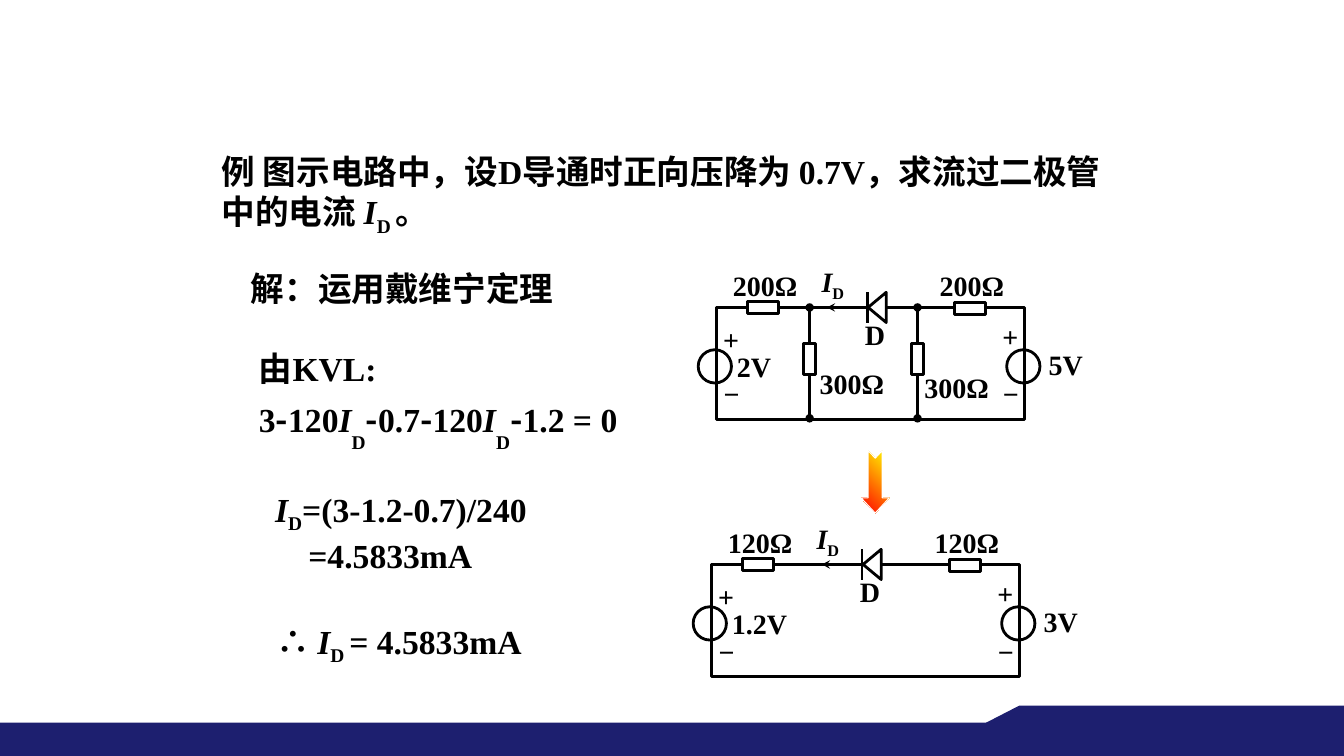
from pptx import Presentation
from pptx.dml.color import RGBColor
from pptx.enum.shapes import MSO_CONNECTOR, MSO_SHAPE
from pptx.enum.text import MSO_ANCHOR, PP_ALIGN
from pptx.oxml.ns import qn
from pptx.util import Inches, Pt
from lxml.etree import SubElement

NAVY = RGBColor(0x1D, 0x1F, 0x6F)
BLACK = RGBColor(0, 0, 0)
WHITE = RGBColor(255, 255, 255)
YELLOW = RGBColor(255, 255, 0)
RED = RGBColor(255, 0, 0)
LATIN, CJK = "Times New Roman", "Noto Sans CJK SC"
CURRENT = [("I", "i"), ("D", "sub")]


def add_run(p, text, style, size):
    """Style is "", "i" (italic), "cjk", "sub" or "low" (deep subscript)."""
    r = p.add_run()
    r.text = text
    r.font.size = Pt(size)
    r.font.bold = True
    r.font.italic = style == "i"
    r.font.color.rgb = BLACK
    r.font.name = CJK if style == "cjk" else LATIN
    rpr = r.font._element
    SubElement(rpr, qn("a:ea")).set("typeface", CJK)
    if style in ("sub", "low"):
        rpr.set("baseline", "-25000" if style == "sub" else "-50000")


def add_text(s, x, y, w, h, *paragraphs, size=24, wrap=True, align=None,
             anchor=MSO_ANCHOR.TOP, spacing=None, inset=True):
    tf = s.shapes.add_textbox(Inches(x), Inches(y), Inches(w), Inches(h)).text_frame
    tf.word_wrap = wrap
    tf.vertical_anchor = anchor
    if not inset:
        tf.margin_left = tf.margin_right = tf.margin_top = tf.margin_bottom = 0
    for i, runs in enumerate(paragraphs):
        p = tf.paragraphs[0] if i == 0 else tf.add_paragraph()
        p.alignment = align
        p.line_spacing = spacing
        for text, style in runs:
            add_run(p, text, style, size)
    return tf


def paint(sp, fill=None, line=BLACK):
    sp.shadow.inherit = False
    if fill is None:
        sp.fill.background()
    else:
        sp.fill.solid()
        sp.fill.fore_color.rgb = fill
    if line is None:
        sp.line.fill.background()
    else:
        sp.line.color.rgb = line
        sp.line.width = Pt(2)


def add_shape(s, kind, x, y, w, h, fill=None, line=BLACK):
    sp = s.shapes.add_shape(kind, Inches(x), Inches(y), Inches(w), Inches(h))
    paint(sp, fill, line)
    return sp


def add_polygon(s, points, fill, line=BLACK):
    pts = [(Inches(x), Inches(y)) for x, y in points]
    builder = s.shapes.build_freeform(*pts[0])
    builder.add_line_segments(pts[1:], close=True)
    paint(builder.convert_to_shape(), fill, line)


def add_line(s, x1, y1, x2, y2, head=None, tail=None):
    c = s.shapes.add_connector(MSO_CONNECTOR.STRAIGHT, Inches(x1), Inches(y1),
                               Inches(x2), Inches(y2))
    c.line.color.rgb = BLACK
    c.line.width = Pt(2)
    for tag, end in (("a:headEnd", head), ("a:tailEnd", tail)):
        if end:
            SubElement(c.line._get_or_add_ln(), qn(tag)).set("type", end)
    SubElement(c._element.spPr, qn("a:effectLst"))


def add_resistor(s, cx, cy, vertical=False):
    sp = add_shape(s, MSO_SHAPE.RECTANGLE, cx - 0.155, cy - 0.06, 0.31, 0.12, WHITE)
    sp.rotation = 270 if vertical else 0


def add_diode(s, x, y):
    add_line(s, x, y - 0.15, x, y + 0.15)
    add_polygon(s, [(x + 0.19, y - 0.15), (x + 0.01, y), (x + 0.19, y + 0.15)], WHITE)


def add_circuit(s, x, y, series, left_volts, left_width, right_volts, shunt=None):
    """Draw one loop with its top left corner at x, y."""
    def label(dx, dy, w, h, *runs, **options):
        add_text(s, x + dx, y + dy, w, h, runs, size=20, **options)

    add_shape(s, MSO_SHAPE.RECTANGLE, x, y, 3.05, 1.11)
    for dx in (-0.02, 3.04):
        add_shape(s, MSO_SHAPE.OVAL, x + dx - 0.165, y + 0.42, 0.33, 0.33)
    for dx, dy, sign in ((0.06, 0.15, "+"), (0.06, 0.69, "−"),
                         (2.83, 0.12, "+"), (2.83, 0.69, "−")):
        label(dx, dy, 0.12, 0.23, (sign, "i"), align=PP_ALIGN.CENTER, inset=False)
    if shunt:
        for dx, label_dx, label_dy in ((0.92, 0.92, 0.54), (1.99, 1.96, 0.58)):
            add_line(s, x + dx, y, x + dx, y + 1.1, "oval", "oval")
            add_resistor(s, x + dx, y + 0.51, vertical=True)
            label(label_dx, label_dy, 1.06, 0.35, (shunt, ""))
    add_resistor(s, x + 0.46, y)
    add_resistor(s, x + 2.51, y + 0.01)
    label(0.06, -0.44, 0.92, 0.44, (series, ""), anchor=MSO_ANCHOR.MIDDLE)
    label(2.11, -0.44, 0.98, 0.35, (series, ""))
    add_line(s, x + 1.24, y, x + 1.09, y, tail="stealth")
    label(0.94, -0.48, 0.65, 0.35, *CURRENT)
    add_diode(s, x + 1.49, y)
    label(1.37, 0.05, 0.38, 0.35, ("D", ""))
    label(0.1, 0.37, left_width, 0.43, (left_volts, ""), wrap=False)
    label(3.12, 0.4, 0.68, 0.27, (right_volts, ""), align=PP_ALIGN.CENTER, inset=False)


def add_footer(s):
    add_shape(s, MSO_SHAPE.RECTANGLE, 0, 7.17, 13.33, 0.33, NAVY, None)
    add_polygon(s, [(9.78, 7.17), (10.11, 7), (13.33, 7), (13.33, 7.25), (9.78, 7.25)],
                NAVY, None)


def add_solution(s):
    add_text(s, 2.1, 1.47, 9.12, 0.91, [
        ("例 ", ""), ("图示电路中，设", "cjk"), ("D导通时正向压降为 0.7V", ""),
        ("，求流过二极管中的电流 ", "cjk"), ("I", "i"), ("D ", "sub"), ("。", "cjk")],
        anchor=MSO_ANCHOR.MIDDLE)
    add_text(s, 2.39, 2.61, 4.01, 0.5, [("解：运用戴维宁定理", "")])
    drop = [("120", ""), ("I", "i"), ("D", "low"), ("-", "cjk")]
    add_text(s, 2.47, 3.32, 4.36, 1.07, [("由KVL:", "")],
             [("3", ""), ("-", "cjk"), *drop, ("0.7", ""), ("-", "cjk"), *drop,
              ("1.2 = 0", "")], spacing=1.2)
    tf = add_text(s, 2.63, 4.8, 3.71, 0.91, [*CURRENT, ("=(3-1.2-0.7)/240", "")],
                  [("=4.5833mA", "")])
    ppr = tf.paragraphs[1]._p.get_or_add_pPr()
    ppr.set("marL", str(Inches(0.33)))
    ppr.set("indent", "0")
    add_text(s, 2.64, 6.11, 3.85, 0.5,
             [("∴ ", "cjk"), ("I", "i"), ("D ", "sub"), ("= 4.5833mA", "")])


def add_step_arrow(s):
    sp = add_shape(s, MSO_SHAPE.NOTCHED_RIGHT_ARROW, 8.37, 4.64, 0.62, 0.28, line=WHITE)
    sp.line.width = Pt(0.75)
    sp.rotation = 90
    sp.adjustments[0], sp.adjustments[1] = 0.5, 0.54
    sp.fill.gradient()
    sp.fill.gradient_angle = 315
    for stop, color in zip(sp.fill.gradient_stops, (YELLOW, RED)):
        stop.color.rgb = color


def main():
    prs = Presentation()
    prs.slide_width, prs.slide_height = Inches(13.33), Inches(7.5)
    s = prs.slides.add_slide(prs.slide_layouts[6])
    add_footer(s)
    add_solution(s)
    add_circuit(s, 7.11, 3.05, "200Ω", "2V", 0.55, "5V", shunt="300Ω")
    add_step_arrow(s)
    add_circuit(s, 7.06, 5.6, "120Ω", "1.2V", 0.75, "3V")
    prs.save("out.pptx")


if __name__ == "__main__":
    main()
